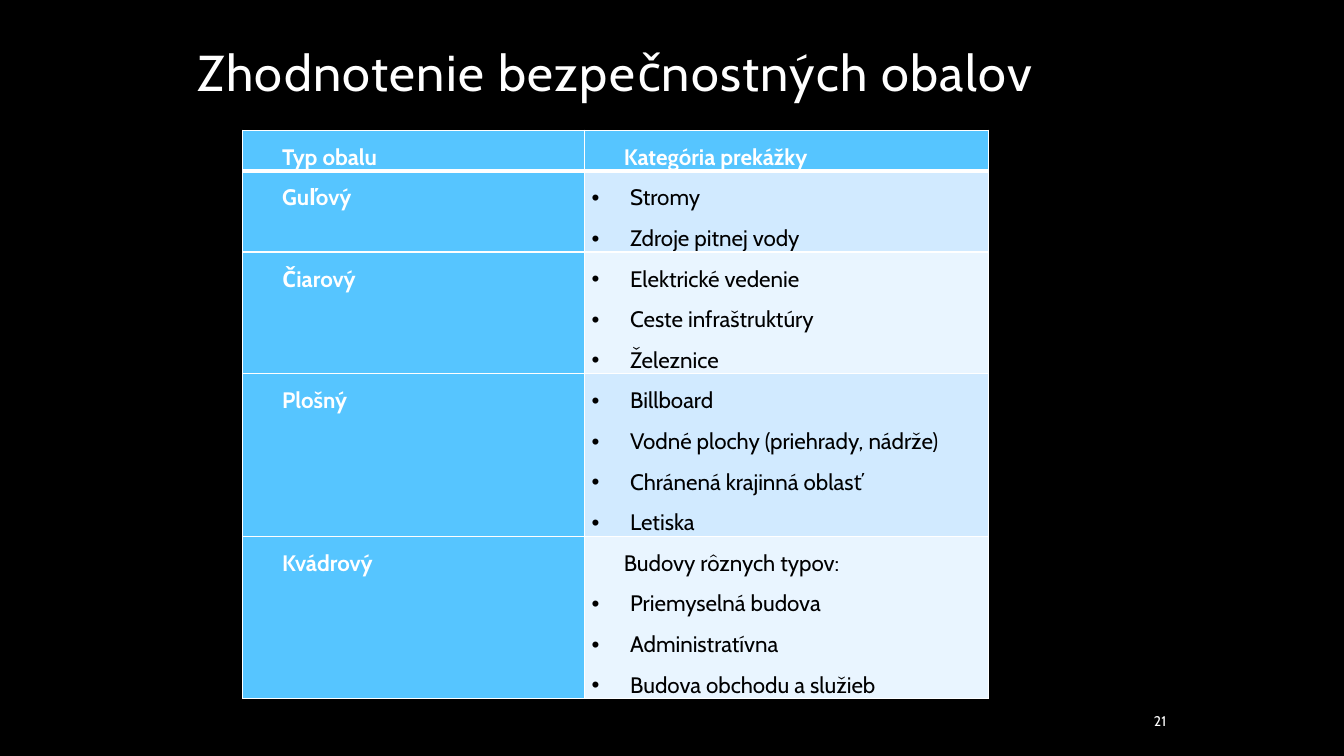
from pptx import Presentation
from pptx import util as u
from pptx.dml.color import RGBColor
from pptx.enum import text as t
from pptx.oxml.ns import qn
from lxml import etree

BLACK = RGBColor(0x00, 0x00, 0x00)
WHITE = RGBColor(0xFF, 0xFF, 0xFF)
BLUE = RGBColor(0x56, 0xC5, 0xFF)
BANDS = RGBColor(0xD1, 0xEA, 0xFF), RGBColor(0xE9, 0xF5, 0xFF)
FACE = "Cabin"

HEAD = "Typ obalu", "Kategória prekážky"
# Type, plain lead line, bulleted items, row height in cm
ROWS = [
    ("Guľový", [], ["Stromy", "Zdroje pitnej vody"], 1.98),
    ("Čiarový", [], ["Elektrické vedenie", "Ceste infraštruktúry", "Železnice"], 3.05),
    ("Plošný", [], ["Billboard", "Vodné plochy (priehrady, nádrže)",
                    "Chránená krajinná oblasť", "Letiska"], 3.99),
    ("Kvádrový", ["Budovy rôznych typov:"],
     ["Priemyselná budova", "Administratívna", "Budova obchodu a služieb"], 4.09),
]


def apply(obj, vals):
    for key, val in vals.items():
        setattr(obj, key, val)


def style(para, size, color, bold=False):
    apply(para.font, {"name": FACE, "size": u.Pt(size), "bold": bold})
    para.font.color.rgb = color


def indent(para, bullet):
    props = para._p.get_or_add_pPr()
    left, first = (0.97, -0.97) if bullet else (0, 0.81)
    props.set("marL", str(u.Cm(left)))
    props.set("indent", str(u.Cm(first)))
    if bullet:
        etree.SubElement(props, qn("a:buFont"), typeface="Arial")
        etree.SubElement(props, qn("a:buChar"), char="•")
    tabs = etree.SubElement(props, qn("a:tabLst"))
    etree.SubElement(tabs, qn("a:tab"), pos=str(u.Cm(0.81)), algn="l")


def border(cell, widths):
    props = cell._tc.get_or_add_tcPr()
    for spot, (side, width) in enumerate(widths.items()):
        line = etree.Element(qn("a:ln" + side), w=str(u.Pt(width)))
        fill = etree.SubElement(line, qn("a:solidFill"))
        etree.SubElement(fill, qn("a:srgbClr"), val=str(WHITE))
        props.insert(spot, line)


def fill_cell(cell, lines, fill, color, bold, widths):
    """Lines are pairs of text and whether it is bulleted."""
    apply(cell, {"margin_left": u.Cm(0.18), "margin_right": u.Cm(0.18),
                 "margin_top": 0, "margin_bottom": 0})
    cell.fill.solid()
    cell.fill.fore_color.rgb = fill
    border(cell, widths)
    frame = cell.text_frame
    for num, (words, bullet) in enumerate(lines):
        para = frame.add_paragraph() if num else frame.paragraphs[0]
        indent(para, bullet)
        apply(para, {"text": words, "alignment": t.PP_ALIGN.JUSTIFY,
                     "line_spacing": 1.5})
        style(para, 16, color, bold)


def add_title(slide, box, words):
    title = slide.shapes.title
    apply(title, dict(zip(("left", "top", "width", "height"), box)))
    frame = title.text_frame
    apply(frame, {"text": words, "word_wrap": True,
                  "auto_size": t.MSO_AUTO_SIZE.NONE,
                  "vertical_anchor": t.MSO_ANCHOR.BOTTOM})
    para = frame.paragraphs[0]
    apply(para, {"alignment": t.PP_ALIGN.LEFT, "line_spacing": 0.9})
    style(para, 36, WHITE)
    para.runs[0].font._element.set("spc", "100")


def add_grid(slide, box):
    table = slide.shapes.add_table(len(ROWS) + 1, 2, *box).table
    apply(table, {"first_row": False, "horz_banding": False})
    table.columns[0].width = u.Cm(8.61)
    table.columns[1].width = box[2] - u.Cm(8.61)

    # Header row with a heavy rule below
    table.rows[0].height = u.Cm(0.94)
    rule = {"L": 1, "R": 1, "T": 1, "B": 3}
    for col, words in enumerate(HEAD):
        fill_cell(table.cell(0, col), [(words, False)], BLUE, WHITE, True, rule)

    # Body rows: type on the left, banded categories on the right
    for num, (kind, lead, items, high) in enumerate(ROWS, 1):
        table.rows[num].height = u.Cm(high)
        rule = {"L": 1, "R": 1, "T": 3 if num == 1 else 1, "B": 1}
        lines = [(x, False) for x in lead] + [(x, True) for x in items]
        fill_cell(table.cell(num, 0), [(kind, False)], BLUE, WHITE, True, rule)
        fill_cell(table.cell(num, 1), lines, BANDS[(num - 1) % 2], BLACK, False, rule)


def add_number(slide, box, words):
    frame = slide.shapes.add_textbox(*box).text_frame
    apply(frame, {"text": words, "word_wrap": True,
                  "vertical_anchor": t.MSO_ANCHOR.MIDDLE})
    frame.paragraphs[0].alignment = t.PP_ALIGN.RIGHT
    style(frame.paragraphs[0], 10, WHITE)


def cm(*vals):
    return [u.Cm(val) for val in vals]


def main():
    deck = Presentation()
    deck.slide_width, deck.slide_height = cm(33.87, 19.05)
    slide = deck.slides.add_slide(deck.slide_layouts[5])
    back = slide.background.fill
    back.solid()
    back.fore_color.rgb = BLACK
    add_title(slide, cm(4.72, 0.33, 25.4, 2.39), "Zhodnotenie bezpečnostných obalov")
    add_grid(slide, cm(6.12, 3.28, 18.8, 14.05))
    add_number(slide, cm(27.3, 17.78, 2.34, 0.76), "21")
    deck.save("out.pptx")


if __name__ == "__main__":
    main()
